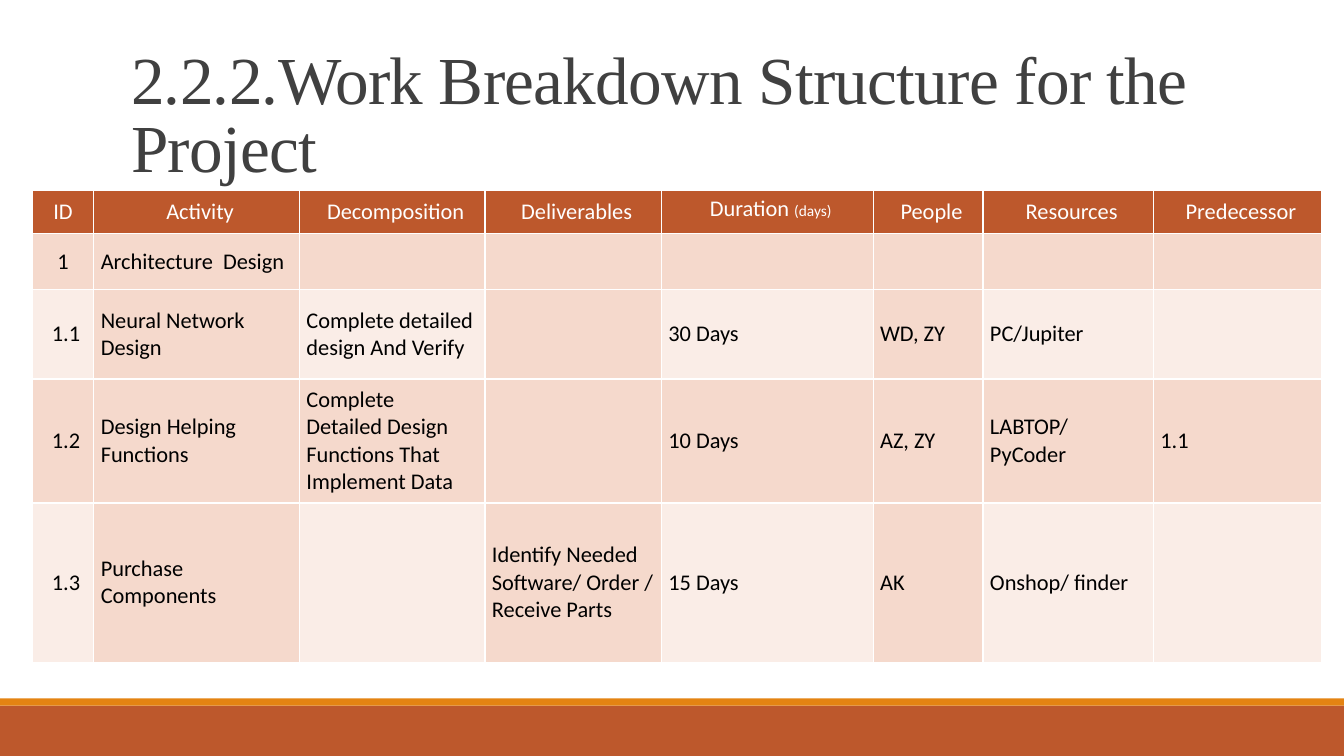
"""Build the work breakdown structure slide with its activity table."""
import dataclasses

import pptx
import pptx.dml.color
import pptx.enum.shapes
import pptx.enum.text
import pptx.util

Inches = pptx.util.Inches


@dataclasses.dataclass(frozen=True)
class Theme:
    rust: str = "BD582C"
    orange: str = "E48312"
    band: str = "F5D9CC"
    pale: str = "FAEDE7"
    white: str = "FFFFFF"
    black: str = "000000"
    heading: str = "404040"
    title_font: str = "Times New Roman"
    table_font: str = "Calibri"
    title_size: int = 48
    table_size: int = 16
    small_size: int = 11


theme = Theme()


def add_span(para, text, font, size, color):
    span = para.add_run()
    span.text = text
    span.font.name = font
    span.font.size = pptx.util.Pt(size)
    span.font.bold = False
    span.font.color.rgb = pptx.dml.color.RGBColor.from_string(color)
    return span


def paint(item, color):
    item.fill.solid()
    item.fill.fore_color.rgb = pptx.dml.color.RGBColor.from_string(color)


deck = pptx.Presentation()
deck.slide_width = Inches(13.33)
deck.slide_height = Inches(7.5)
page = deck.slides.add_slide(deck.slide_layouts[5])

for top, height, color in [(7, 0.5, theme.rust), (6.93, 0.07, theme.orange)]:
    strip = page.shapes.add_shape(
        pptx.enum.shapes.MSO_SHAPE.RECTANGLE, 0, Inches(top), deck.slide_width, Inches(height)
    )
    strip.shadow.inherit = False
    strip.line.fill.background()
    paint(strip, color)

title = page.shapes.title
title.left, title.top = Inches(1.2), Inches(0.31)
title.width, title.height = Inches(11), Inches(1.59)
title.text_frame.word_wrap = True
title.text_frame.auto_size = pptx.enum.text.MSO_AUTO_SIZE.NONE
title.text_frame.vertical_anchor = pptx.enum.text.MSO_ANCHOR.BOTTOM
para = title.text_frame.paragraphs[0]
para.alignment = pptx.enum.text.PP_ALIGN.LEFT
para.line_spacing = 0.85
span = add_span(
    para, "2.2.2.Work Breakdown Structure for the Project",
    theme.title_font, theme.title_size, theme.heading,
)
span.font._element.set("spc", "-50")

headings = ["ID", "Activity", "Decomposition", "Deliverables", "Duration ", "People",
            "Resources", "Predecessor"]
activities = [
    ["1", "Architecture  Design", "", "", "", "", "", ""],
    ["1.1", "Neural Network  Design", "Complete detailed design And Verify", "",
     "30 Days", "WD, ZY", "PC/Jupiter", ""],
    ["1.2", "Design Helping Functions",
     "Complete \nDetailed Design \nFunctions That \nImplement Data", "",
     "10 Days", "AZ, ZY", "LABTOP/\nPyCoder", "1.1"],
    ["1.3", "Purchase Components", "", "Identify Needed Software/ Order / Receive Parts",
     "15 Days", "AK", "Onshop/ finder", ""],
]
column_widths = [0.61, 2.04, 1.84, 1.75, 2.1, 1.09, 1.69, 1.67]
row_heights = [0.43, 0.55, 0.89, 1.23, 1.58]
pale_rows = {2, 4}
pale_columns = {0, 2, 4, 6, 7}
duration_column = headings.index("Duration ")

table = page.shapes.add_table(
    len(row_heights), len(column_widths),
    Inches(0.32), Inches(1.89), Inches(sum(column_widths)), Inches(sum(row_heights)),
).table
for column, width in zip(table.columns, column_widths):
    column.width = Inches(width)
for row, height in zip(table.rows, row_heights):
    row.height = Inches(height)
table.first_row = False
table.horz_banding = False

for row_index, texts in enumerate([headings] + activities):
    for column_index, text in enumerate(texts):
        cell = table.cell(row_index, column_index)
        is_heading = row_index == 0
        is_pale = row_index in pale_rows and column_index in pale_columns
        paint(cell, theme.rust if is_heading else theme.pale if is_pale else theme.band)
        cell.vertical_anchor = pptx.enum.text.MSO_ANCHOR.MIDDLE
        cell.margin_top = cell.margin_bottom = cell.margin_right = 0
        cell.margin_left = Inches(0.07)
        if column_index == 0:
            cell.margin_left = Inches(0.06 if row_index > 1 else 0)
        if not text:
            continue
        for line_index, line in enumerate(text.split("\n")):
            frame = cell.text_frame
            para = frame.add_paragraph() if line_index else frame.paragraphs[0]
            centred = is_heading or column_index == 0
            para.alignment = (
                pptx.enum.text.PP_ALIGN.CENTER if centred else pptx.enum.text.PP_ALIGN.LEFT
            )
            color = theme.white if is_heading else theme.black
            add_span(para, line, theme.table_font, theme.table_size, color)

para = table.cell(0, duration_column).text_frame.paragraphs[0]
para.line_spacing = pptx.util.Pt(14.6)
add_span(para, "(days)", theme.table_font, theme.small_size, theme.white)

deck.save("out.pptx")
